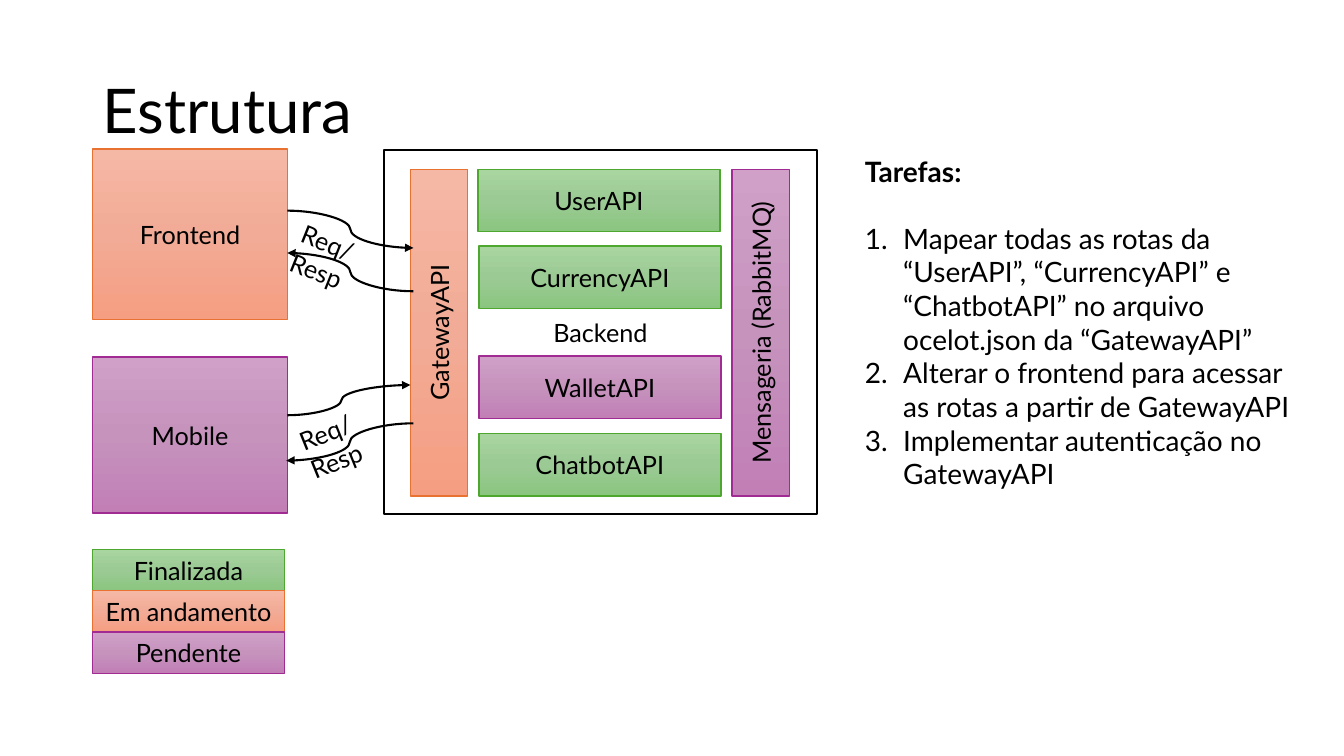
from copy import deepcopy
from dataclasses import dataclass

from lxml import etree
from pptx import Presentation
from pptx.dml.color import RGBColor
from pptx.enum.shapes import MSO_CONNECTOR, MSO_SHAPE
from pptx.enum.text import MSO_ANCHOR, MSO_AUTO_SIZE, PP_ALIGN
from pptx.oxml.ns import qn
from pptx.util import Inches, Pt

RECTANGLE = MSO_SHAPE.RECTANGLE
CURVE = MSO_CONNECTOR.CURVE
MIDDLE, TOP = MSO_ANCHOR.MIDDLE, MSO_ANCHOR.TOP
LEFT, CENTER = PP_ALIGN.LEFT, PP_ALIGN.CENTER
FIT_SHAPE, NO_FIT = MSO_AUTO_SIZE.SHAPE_TO_FIT_TEXT, MSO_AUTO_SIZE.NONE

FONT = "Lato"
BLACK, WHITE = "000000", "FFFFFF"
CELL = 0.1  # inches per grid column and row


@dataclass(frozen=True)
class Status:
    label: str
    line: str
    gradient: tuple[str, str, str]


@dataclass(frozen=True)
class Area:
    column: float
    row: float
    columns: float
    rows: float


@dataclass(frozen=True)
class Box:
    text: str
    area: Area
    status: Status
    vertical: bool = False


@dataclass(frozen=True)
class Arrow:
    start: tuple[float, float]
    end: tuple[float, float]
    bend: float = 0.5


DONE = Status("Finalizada", "4EA72E", ("A8D5A0", "9CCA94", "8AC680"))
ONGOING = Status("Em andamento", "E97132", ("F5B8A5", "F2AB96", "F59E82"))
PENDING = Status("Pendente", "A02B93", ("D0A0C8", "C693BD", "C17FB6"))

FRAME = Area(38.1, 14.9, 42.9, 36.1)
BOXES = [
    Box("Frontend", Area(9.2, 14.8, 19.3, 16.9), ONGOING),
    Box("Mobile", Area(9.2, 35.4, 19.3, 15.5), PENDING),
    Box("GatewayAPI", Area(40.7, 16.8, 5.7, 32.4), ONGOING, vertical=True),
    Box("Mensageria (RabbitMQ)", Area(72.6, 16.8, 5.7, 32.4), PENDING, vertical=True),
]
SERVICES = [
    ("UserAPI", 47.4, 16.8, DONE),
    ("CurrencyAPI", 47.5, 24.4, DONE),
    ("WalletAPI", 47.5, 35.3, PENDING),
    ("ChatbotAPI", 47.5, 43, DONE),
]
BOXES += [Box(name, Area(column, row, 24, 6.2), status)
          for name, column, row, status in SERVICES]
BOXES += [Box(status.label, Area(9.2, 54.5 + 4.1 * index, 19, 4.1), status)
          for index, status in enumerate((DONE, ONGOING, PENDING))]

ARROWS = [
    Arrow((28.5, 20.9), (41, 24.6)),
    Arrow((41, 28.9), (28.5, 25.1)),
    Arrow((28.5, 41.2), (40.7, 38.2), bend=0.44),
    Arrow((41, 42), (28.4, 45.7)),
]
ARROW_LABELS = [(Area(28.8, 22.8, 11.1, 3.6), 21.8), (Area(28.4, 40.2, 11.1, 3.6), 338)]
TASKS = [
    "Mapear todas as rotas da “UserAPI”, “CurrencyAPI” e “ChatbotAPI” "
    "no arquivo ocelot.json da “GatewayAPI”",
    "Alterar o frontend para acessar as rotas a partir de GatewayAPI",
    "Implementar autenticação no GatewayAPI",
]


def color(value: str) -> RGBColor:
    return RGBColor.from_string(value)


def grid(cells: float) -> int:
    return Inches(cells * CELL)


def place(area: Area) -> tuple[int, int, int, int]:
    return grid(area.column), grid(area.row), grid(area.columns), grid(area.rows)


def write(paragraph, text: str, *, size: float = 18, bold: bool = False, align=LEFT) -> None:
    paragraph.alignment = align
    run = paragraph.add_run()
    run.text = text
    run.font.name = FONT
    run.font.size = Pt(size)
    run.font.bold = bold
    run.font.color.rgb = color(BLACK)


def add_text(slide, area: Area, text: str, *, anchor=TOP, wrap: bool = True,
             fit=FIT_SHAPE, **style):
    shape = slide.shapes.add_textbox(*place(area))
    frame = shape.text_frame
    frame.word_wrap = wrap
    frame.auto_size = fit
    frame.vertical_anchor = anchor
    write(frame.paragraphs[0], text, **style)
    return shape


def add_rectangle(slide, area: Area, text: str, line: str, width: float):
    shape = slide.shapes.add_shape(RECTANGLE, *place(area))
    shape.shadow.inherit = False
    shape.line.color.rgb = color(line)
    shape.line.width = Pt(width)
    shape.text_frame.word_wrap = True
    shape.text_frame.vertical_anchor = MIDDLE
    write(shape.text_frame.paragraphs[0], text, align=CENTER)
    return shape


def add_box(slide, box: Box) -> None:
    shape = add_rectangle(slide, box.area, box.text, box.status.line, 1)
    shape.fill.gradient()
    shape.fill.gradient_angle = 270
    stop_list = shape._element.spPr.find(".//" + qn("a:gsLst"))
    stop_list.insert(1, deepcopy(stop_list[0]))
    for index, stop in enumerate(shape.fill.gradient_stops):
        stop.position = index / 2
        stop.color.rgb = color(box.status.gradient[index])
    if box.vertical:
        shape.text_frame._txBody.bodyPr.set("vert", "vert270")


def add_arrow(slide, arrow: Arrow) -> None:
    points = [grid(cells) for cells in arrow.start + arrow.end]
    connector = slide.shapes.add_connector(CURVE, *points)
    connector.line.color.rgb = color(BLACK)
    connector.line.width = Pt(1.5)
    properties = connector._element.spPr
    etree.SubElement(properties.find(qn("a:ln")), qn("a:tailEnd"), type="triangle")
    etree.SubElement(properties, qn("a:effectLst"))
    adjustments = properties.find(".//" + qn("a:avLst"))
    etree.SubElement(adjustments, qn("a:gd"), name="adj1",
                     fmla=f"val {round(arrow.bend * 100000)}")


def add_tasks(slide) -> None:
    shape = add_text(slide, Area(84.8, 14.8, 44.2, 34.7), "Tarefas:", size=20, bold=True)
    for index, task in enumerate(TASKS):
        paragraph = shape.text_frame.add_paragraph()
        properties = paragraph._p.get_or_add_pPr()
        properties.set("marL", str(Inches(0.38)))
        properties.set("indent", str(-Inches(0.38)))
        etree.SubElement(properties, qn("a:buFont"), typeface=FONT)
        etree.SubElement(properties, qn("a:buAutoNum"), type="arabicPeriod")
        if index == 0:
            paragraph.space_before = Pt(24)
        write(paragraph, task, size=20)


def main() -> None:
    presentation = Presentation()
    presentation.slide_width = Inches(13.33)
    presentation.slide_height = Inches(7.5)
    slide = presentation.slides.add_slide(presentation.slide_layouts[6])

    # Title
    title = add_text(slide, Area(9.2, 4, 115, 14.5), "Estrutura",
                     anchor=MIDDLE, fit=NO_FIT, size=44)
    title.text_frame.paragraphs[0].line_spacing = 0.9

    # Backend frame, components and status legend
    backend = add_rectangle(slide, FRAME, "Backend", BLACK, 1.5)
    backend.fill.solid()
    backend.fill.fore_color.rgb = color(WHITE)
    for box in BOXES:
        add_box(slide, box)

    # Requests and responses
    for arrow in ARROWS:
        add_arrow(slide, arrow)
    for area, angle in ARROW_LABELS:
        add_text(slide, area, "Req/Resp", wrap=False).rotation = angle

    # Task list
    add_tasks(slide)
    presentation.save("out.pptx")


if __name__ == "__main__":
    main()
